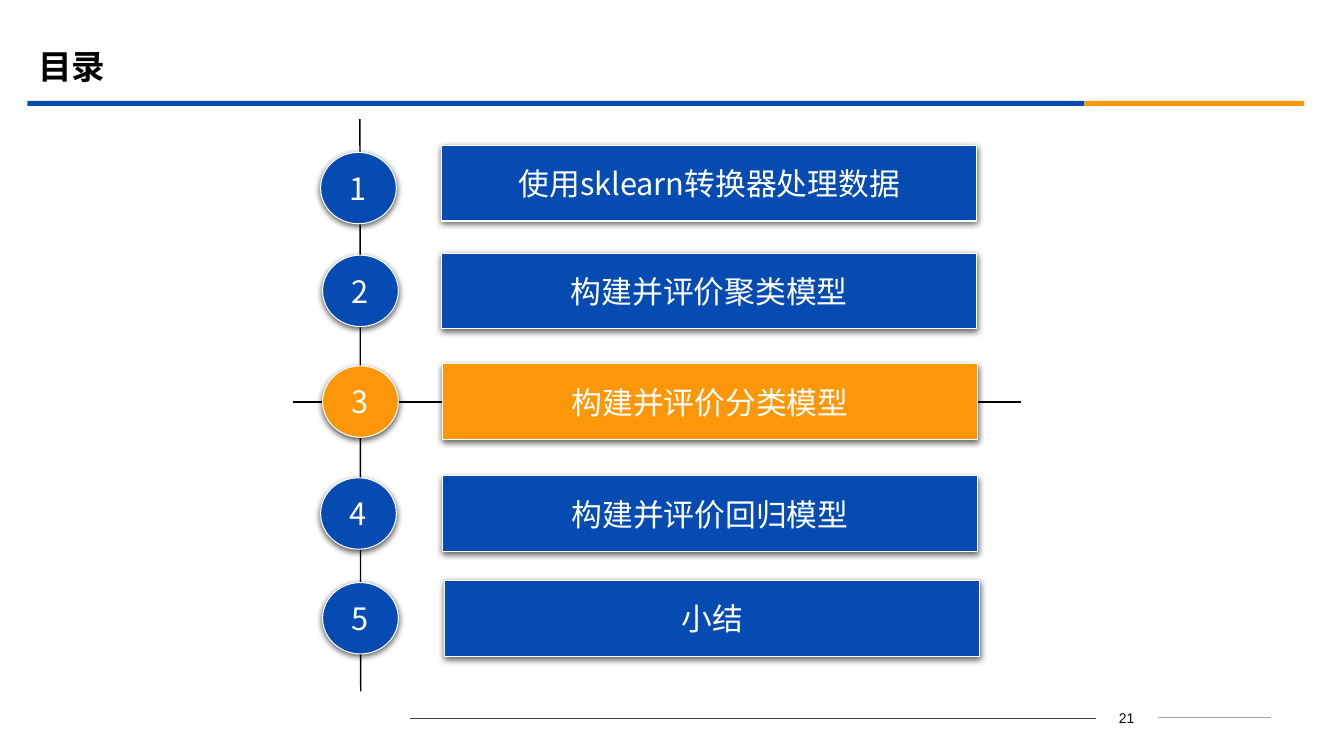
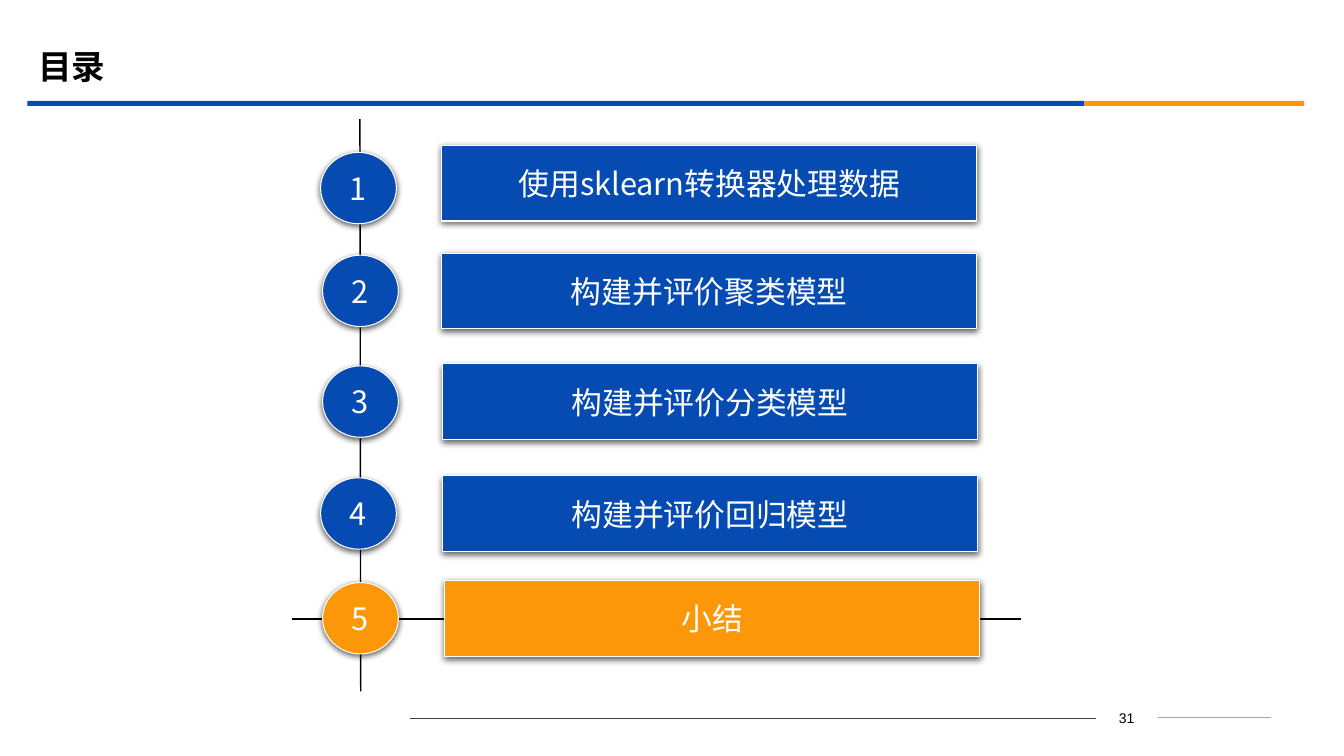
import pptx
import pptx.util
import pptx.dml.color
import pptx.enum.shapes
import pptx.enum.text
import pptx.oxml.ns
from lxml import etree

Cm = pptx.util.Cm
SHAPE = pptx.enum.shapes.MSO_SHAPE
ALIGN = pptx.enum.text.PP_ALIGN
qn = pptx.oxml.ns.qn

BLUE, ORANGE, WHITE, BLACK = "064BB2", "FB9708", "FFFFFF", "000000"
CJK = "Noto Sans CJK SC"
TITLE = {"size": pptx.util.Pt(24), "bold": True, "name": CJK}
LABEL = {"size": pptx.util.Pt(22), "name": CJK}
NUMBER = {"size": pptx.util.Pt(10), "name": "Arial"}

BANDS = [(0.69, 26.64, BLUE), (27.33, 5.54, ORANGE)]
RULES = [(29.18, 32.03, "A6A6A6", 0.75), (10.34, 27.61, "404040", 0.5)]
ROWS = [
    ("使用sklearn转换器处理数据", 8.08, 3.84, 11.13, 3.66),
    ("构建并评价聚类模型", 8.13, 6.43, 11.13, 6.38),
    ("构建并评价分类模型", 8.13, 9.22, 11.15, 9.17),
    ("构建并评价回归模型", 8.08, 12.04, 11.15, 11.99),
    ("小结", 8.13, 14.68, 11.2, 14.63),
]
SLIDES = [("21", 3, 7.39, 10.13), ("31", 5, 7.37, 15.6)]


def rgb(color):
    return pptx.dml.color.RGBColor.from_string(color)


def write(shape, text, fmt, color, align):
    p = shape.text_frame.paragraphs[0]
    p.alignment = align
    r = p.add_run()
    r.text = text
    for key, value in fmt.items():
        setattr(r.font, key, value)
    r.font.color.rgb = rgb(color)
    etree.SubElement(r.font._element, qn("a:ea"), typeface=fmt["name"])
    return p


prs = pptx.Presentation()
prs.slide_width, prs.slide_height = Cm(33.87), Cm(19.05)
layout = prs.slide_layouts[5]

for number, current, line_left, line_y in SLIDES:
    s = prs.slides.add_slide(layout)

    title = s.shapes.title
    title.left, title.top, title.width, title.height = Cm(0.71), Cm(0.99), Cm(30.48), Cm(1.47)
    title.text_frame.vertical_anchor = pptx.enum.text.MSO_ANCHOR.MIDDLE
    p = write(title, "目录", TITLE, BLACK, ALIGN.LEFT)
    p.line_spacing = 0.9

    for left, width, color in BANDS:
        band = s.shapes.add_shape(SHAPE.RECTANGLE, Cm(left), Cm(2.54), Cm(width), Cm(0.13))
        band.shadow.inherit = False
        band.fill.solid()
        band.fill.fore_color.rgb = rgb(color)
        band.line.fill.background()

    lines = [(x1, 18.09, x2, 18.09, color, weight) for x1, x2, color, weight in RULES]
    lines.append((9.07, 3, 9.09, 17.42, BLACK, 1))
    lines.append((line_left, line_y, line_left + 18.35, line_y, BLACK, 1))
    for x1, y1, x2, y2, color, weight in lines:
        line = s.shapes.add_connector(
            pptx.enum.shapes.MSO_CONNECTOR.STRAIGHT, Cm(x1), Cm(y1), Cm(x2), Cm(y2))
        line.line.color.rgb = rgb(color)
        line.line.width = pptx.util.Pt(weight)
        etree.SubElement(line._element.spPr, qn("a:effectLst"))

    tb = s.shapes.add_textbox(Cm(27.61), Cm(17.75), Cm(1.57), Cm(0.64))
    tb.text_frame.word_wrap = True
    write(tb, number, NUMBER, BLACK, ALIGN.CENTER)

    for i, (topic, dot_x, dot_y, box_x, box_y) in enumerate(ROWS, 1):
        parts = [
            (SHAPE.ACTION_BUTTON_CUSTOM, box_x, box_y, 13.49, 1.91, topic),
            (SHAPE.OVAL, dot_x, dot_y, 1.91, 1.8, str(i)),
        ]
        for kind, x, y, w, h, text in parts:
            sp = s.shapes.add_shape(kind, Cm(x), Cm(y), Cm(w), Cm(h))
            sp.fill.solid()
            sp.fill.fore_color.rgb = rgb(ORANGE if i == current else BLUE)
            sp.line.color.rgb = rgb(WHITE)
            sp.line.width = pptx.util.Pt(0.75)
            sp.shadow.inherit = False
            effects = sp._element.spPr.find(qn("a:effectLst"))
            shadow = etree.SubElement(effects, qn("a:outerShdw"), blurRad="57150",
                                      dist="19050", dir="5400000", algn="ctr", rotWithShape="0")
            tint = etree.SubElement(shadow, qn("a:srgbClr"), val=BLACK)
            etree.SubElement(tint, qn("a:alpha"), val="63000")
            tf = sp.text_frame
            tf.word_wrap = False
            tf.vertical_anchor = pptx.enum.text.MSO_ANCHOR.MIDDLE
            write(sp, text, LABEL, WHITE, ALIGN.CENTER)

prs.save("out.pptx")
